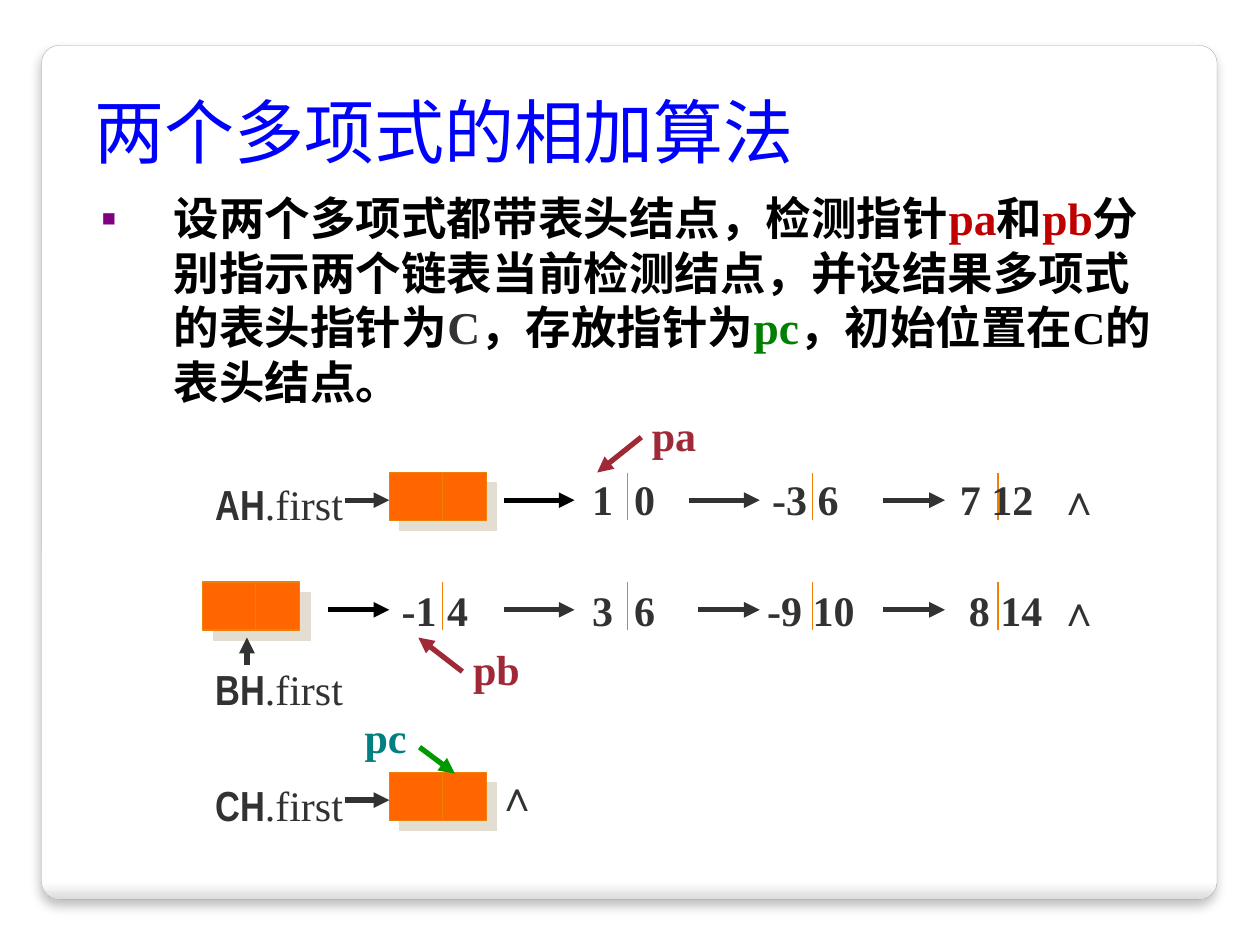
from dataclasses import dataclass

from lxml import etree
from pptx import Presentation
from pptx.dml.color import RGBColor
from pptx.enum.shapes import MSO_CONNECTOR, MSO_SHAPE
from pptx.enum.text import MSO_ANCHOR, MSO_AUTO_SIZE, PP_ALIGN
from pptx.oxml.ns import qn
from pptx.util import Inches, Pt

STRAIGHT = MSO_CONNECTOR.STRAIGHT
RECTANGLE = MSO_SHAPE.RECTANGLE
ROUNDED = MSO_SHAPE.ROUNDED_RECTANGLE
BOTTOM, MIDDLE, TOP = MSO_ANCHOR.BOTTOM, MSO_ANCHOR.MIDDLE, MSO_ANCHOR.TOP
NO_FIT, FIT_SHAPE = MSO_AUTO_SIZE.NONE, MSO_AUTO_SIZE.SHAPE_TO_FIT_TEXT
LEFT, CENTER = PP_ALIGN.LEFT, PP_ALIGN.CENTER

COLORS = {
    "white": "FFFFFF", "black": "000000", "text": "323232", "title": "0000FF",
    "bullet": "800080", "red": "C00000", "green": "008000", "teal": "008080",
    "wine": "9F2936", "arrow green": "009900", "node": "FF6600",
    "edge": "F07F09", "node shadow": "E3DED1", "card edge": "A4A4A4",
    "card bottom": "DADADA",
}
SERIF, NARROW, SANS = "Times New Roman", "Arial Narrow", "DejaVu Sans"
ROW_A, ROW_B, ROW_C = 3.75, 4.62, 6.13
COLUMN, STEP = 3.09, 1.47
NODE_WIDTH, NODE_HEIGHT, SPLIT = 0.77, 0.38, 0.42
LABEL_HEIGHT = 0.5


@dataclass(frozen=True)
class Label:
    text: str
    left: float
    top: float
    width: float
    color: str = "text"
    centered: bool = False


@dataclass(frozen=True)
class Arrow:
    x1: float
    y1: float
    x2: float
    y2: float
    color: str = "text"


@dataclass(frozen=True)
class Term:
    coefficient: str
    exponent: str
    left: float
    top: float
    width: float
    gap: int = 0


HEADS = [(COLUMN, ROW_A), (1.61, ROW_B), (COLUMN, ROW_C)]
DIVIDERS = [(COLUMN + SPLIT + STEP * i, ROW_A) for i in range(1, 4)]
DIVIDERS += [(COLUMN + SPLIT + STEP * i, ROW_B) for i in range(4)]
POINTERS = [("AH", 3.75), ("BH", 5.22), ("CH", 6.14)]
TERMS = [
    Term("1", "0", 4.6, 3.71, 0.71, 6), Term("-3", "6", 6.03, 3.71, 0.73),
    Term("7", "12", 7.52, 3.71, 0.79), Term("-1", "4", 3.09, 4.59, 0.73),
    Term("3", "6", 4.6, 4.59, 0.71, 6), Term("-9", "10", 5.99, 4.59, 0.9),
    Term("8", "14", 7.59, 4.59, 0.79),
]
LABELS = [
    Label("∧", 8.3, 3.71, 0.41), Label("∧", 8.3, 4.59, 0.41),
    Label("∧", 3.84, 6.06, 0.41),
    Label("pa", 5.07, 3.2, 0.56, "wine", True),
    Label("pb", 3.65, 5.06, 0.58, "wine", True),
    Label("pc", 2.79, 5.6, 0.54, "teal", True),
]
ARROWS = [
    Arrow(2.74, 3.97, 3.09, 3.97), Arrow(4, 3.97, 4.56, 3.97, "black"),
    Arrow(5.47, 3.97, 6.03, 3.97), Arrow(7.01, 3.97, 7.5, 3.97),
    Arrow(2.6, 4.84, 3.09, 4.84, "black"), Arrow(4, 4.84, 4.56, 4.84),
    Arrow(5.54, 4.84, 6.03, 4.84), Arrow(7.01, 4.84, 7.5, 4.84),
    Arrow(2.74, 6.35, 3.09, 6.35), Arrow(1.96, 5.28, 1.96, 5.06),
    Arrow(5.09, 3.47, 4.74, 3.75, "wine"),
    Arrow(3.67, 5.33, 3.32, 5.06, "wine"),
    Arrow(3.33, 5.93, 3.61, 6.14, "arrow green"),
]
BODY = [
    ("设两个多项式都带表头结点，检测指针", "black"), ("pa", "red"),
    ("和", "black"), ("pb", "red"),
    ("分别指示两个链表当前检测结点，并设结果多项式的表头指针为", "black"),
    ("C", "text"), ("，存放指针为", "black"), ("pc", "green"),
    ("，初始位置在C的表头结点。", "black"),
]


def rgb(name: str) -> RGBColor:
    return RGBColor.from_string(COLORS[name])


def place(shape, left: float, top: float, width: float, height: float) -> None:
    shape.left, shape.top = Inches(left), Inches(top)
    shape.width, shape.height = Inches(width), Inches(height)


def add_shadow(shape, color: str, alpha: int, blur: float, distance: float, angle: int) -> None:
    shape.shadow.inherit = False
    effects = shape.element.spPr.find(qn("a:effectLst"))
    shadow = etree.SubElement(
        effects, qn("a:outerShdw"), blurRad=str(Pt(blur)), dist=str(Pt(distance)),
        dir=str(angle * 60000), algn="tl", rotWithShape="0")
    tint = etree.SubElement(shadow, qn("a:srgbClr"), val=COLORS[color])
    etree.SubElement(tint, qn("a:alpha"), val=str(alpha * 1000))


def add_card(page) -> None:
    card = page.shapes.add_shape(ROUNDED, Inches(0.33), Inches(0.36), Inches(9.33), Inches(6.78))
    card.adjustments[0] = 0.021
    card.fill.gradient()
    card.fill.gradient_angle = 270
    stops = card.fill.gradient_stops
    for stop, position, color in zip(stops, (0.98, 1), ("white", "card bottom")):
        stop.position = position
        stop.color.rgb = rgb(color)
    card.line.color.rgb = rgb("card edge")
    card.line.width = Pt(0.16)
    add_shadow(card, "black", 25, 6, 4, 90)
    page.shapes._spTree.insert(2, card.element)


def fill_title(page) -> None:
    title = page.shapes.title
    place(title, 0.65, 0.48, 7.98, 0.94)
    frame = title.text_frame
    frame.text = "两个多项式的相加算法"
    frame.auto_size, frame.vertical_anchor = NO_FIT, BOTTOM
    para = frame.paragraphs[0]
    para.alignment = LEFT
    para.font.size, para.font.name = Pt(40), SANS
    para.font.color.rgb = rgb("title")


def fill_body(page) -> None:
    body = page.placeholders[1]
    place(body, 0.6, 1.41, 8.82, 5.5)
    frame = body.text_frame
    frame.auto_size, frame.vertical_anchor = NO_FIT, TOP
    frame.margin_left, frame.margin_top = Inches(0.2), Inches(0.1)
    frame.margin_right, frame.margin_bottom = Inches(0.1), Inches(0.05)
    para = frame.paragraphs[0]
    para.space_before = Pt(0)
    properties = para._p.get_or_add_pPr()
    properties.set("marL", str(Inches(0.58)))
    properties.set("indent", str(Inches(-0.58)))
    bullet_color = etree.SubElement(properties, qn("a:buClr"))
    etree.SubElement(bullet_color, qn("a:srgbClr"), val=COLORS["bullet"])
    etree.SubElement(properties, qn("a:buChar"), char="▪")
    para.font.size, para.font.name, para.font.bold = Pt(26), SERIF, True
    for text, color in BODY:
        span = para.add_run()
        span.text = text
        span.font.color.rgb = rgb(color)


def add_line(page, x1: float, y1: float, x2: float, y2: float, color: str, width: float):
    line = page.shapes.add_connector(STRAIGHT, Inches(x1), Inches(y1), Inches(x2), Inches(y2))
    line.line.color.rgb = rgb(color)
    line.line.width = Pt(width)
    etree.SubElement(line.element.spPr, qn("a:effectLst"))
    return line


def add_arrow(page, arrow: Arrow) -> None:
    line = add_line(page, arrow.x1, arrow.y1, arrow.x2, arrow.y2, arrow.color, 3)
    etree.SubElement(line.line._get_or_add_ln(), qn("a:tailEnd"), type="triangle")


def add_divider(page, x: float, top: float) -> None:
    add_line(page, x, top, x, top + NODE_HEIGHT, "edge", 0.75)


def add_head(page, left: float, top: float) -> None:
    node = page.shapes.add_shape(
        RECTANGLE, Inches(left), Inches(top), Inches(NODE_WIDTH), Inches(NODE_HEIGHT))
    node.fill.solid()
    node.fill.fore_color.rgb = rgb("node")
    node.line.color.rgb = rgb("edge")
    node.line.width = Pt(0.75)
    add_shadow(node, "node shadow", 100, 0, 8.5, 45)
    add_divider(page, left + SPLIT, top)


def add_label(page, label: Label):
    box = page.shapes.add_textbox(
        Inches(label.left), Inches(label.top), Inches(label.width), Inches(LABEL_HEIGHT))
    frame = box.text_frame
    frame.word_wrap, frame.auto_size = False, FIT_SHAPE
    frame.vertical_anchor = MIDDLE if label.centered else TOP
    para = frame.paragraphs[0]
    para.alignment = CENTER if label.centered else LEFT
    para.font.size, para.font.name, para.font.bold = Pt(24), SERIF, True
    para.font.color.rgb = rgb(label.color)
    para.add_run().text = label.text
    return para


def add_pointer(page, name: str, top: float) -> None:
    para = add_label(page, Label(name, 1.61, top, 1.23))
    para.runs[0].font.name = NARROW
    span = para.add_run()
    span.text = ".first"
    span.font.bold = False


def add_term(page, term: Term) -> None:
    para = add_label(page, Label(term.coefficient, term.left, term.top, term.width))
    space = para.add_run()
    space.text = " "
    space.font._rPr.set("spc", str(term.gap * 100))
    para.add_run().text = term.exponent


def main() -> None:
    deck = Presentation()
    deck.slide_width, deck.slide_height = Inches(10), Inches(7.5)
    page = deck.slides.add_slide(deck.slide_layouts[1])
    add_card(page)
    fill_title(page)
    fill_body(page)
    for left, top in HEADS:
        add_head(page, left, top)
    for x, top in DIVIDERS:
        add_divider(page, x, top)
    for name, top in POINTERS:
        add_pointer(page, name, top)
    for term in TERMS:
        add_term(page, term)
    for label in LABELS:
        add_label(page, label)
    for arrow in ARROWS:
        add_arrow(page, arrow)
    deck.save("out.pptx")


if __name__ == "__main__":
    main()
